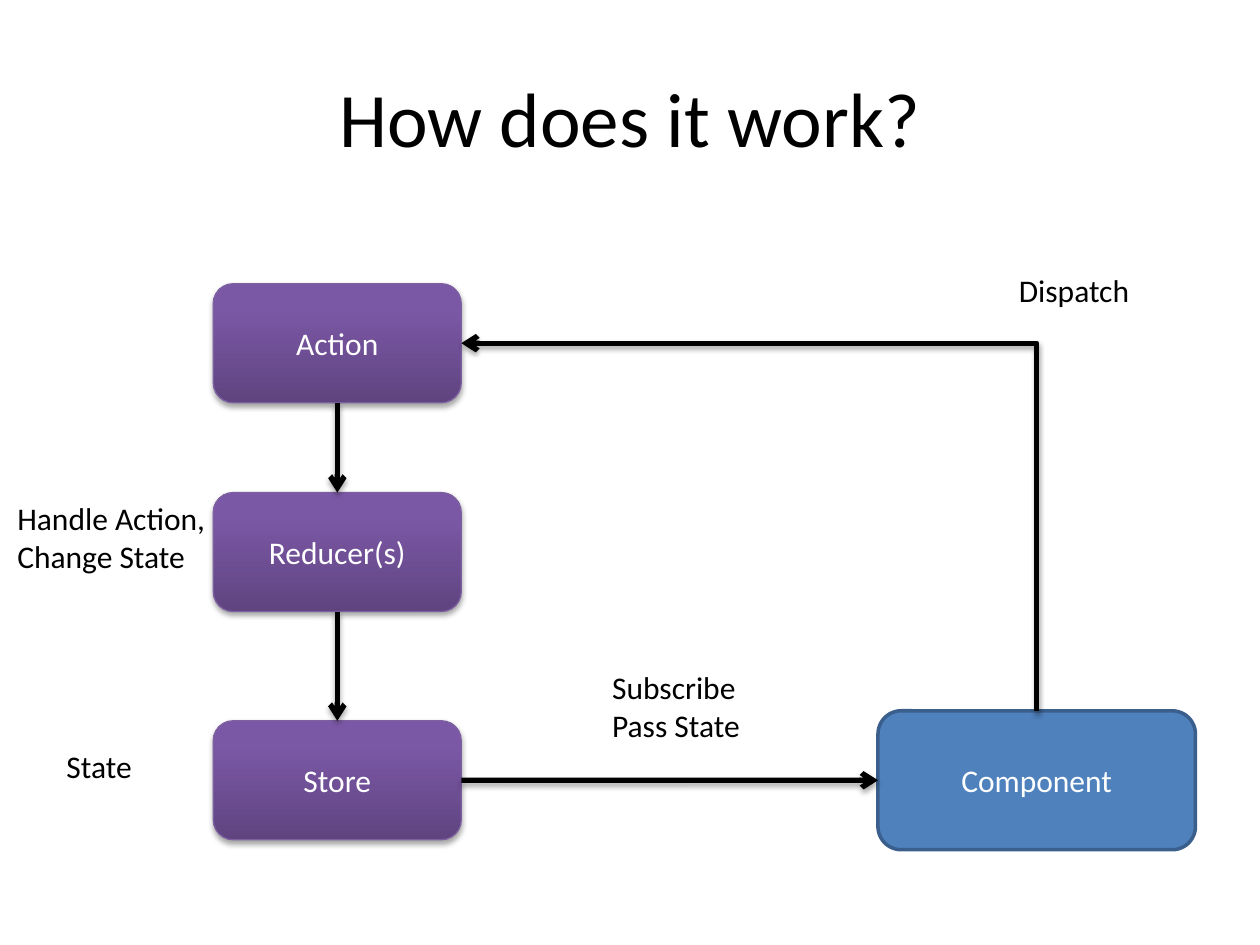
"""Build the slide that shows how actions, reducers, store and component work together."""
from dataclasses import dataclass

from lxml import etree
from pptx import Presentation
from pptx.dml.color import RGBColor
from pptx.enum.shapes import MSO_CONNECTOR, MSO_SHAPE
from pptx.enum.text import MSO_ANCHOR, MSO_AUTO_SIZE, PP_ALIGN
from pptx.oxml.ns import qn
from pptx.util import Cm, Pt

ROUNDED = MSO_SHAPE.ROUNDED_RECTANGLE
STRAIGHT, ELBOW = MSO_CONNECTOR.STRAIGHT, MSO_CONNECTOR.ELBOW
LEFT, CENTER = PP_ALIGN.LEFT, PP_ALIGN.CENTER
MIDDLE = MSO_ANCHOR.MIDDLE
GROW = MSO_AUTO_SIZE.SHAPE_TO_FIT_TEXT
TOP_SIDE, LEFT_SIDE, BOTTOM_SIDE, RIGHT_SIDE = range(4)

BLACK = RGBColor(0x00, 0x00, 0x00)
WHITE = RGBColor(0xFF, 0xFF, 0xFF)
BLUE = RGBColor(0x4F, 0x81, 0xBD)
DARK_BLUE = RGBColor(0x3A, 0x5F, 0x8C)
PURPLE_LINE = RGBColor(0x7D, 0x60, 0xA0)
PURPLE_STOPS = (
    (0, RGBColor(0x5F, 0x44, 0x80)),
    (80, RGBColor(0x7B, 0x58, 0xA6)),
    (100, RGBColor(0x7C, 0x57, 0xA8)),
)
FONT = "Calibri"


@dataclass(frozen=True)
class Area:
    left: float
    top: float
    width: float
    height: float

    def lengths(self) -> tuple:
        return Cm(self.left), Cm(self.top), Cm(self.width), Cm(self.height)


@dataclass(frozen=True)
class Label:
    text: str
    area: Area


STAGES = [
    Label("Action", Area(4.3, 5.72, 5, 2.4)),
    Label("Reducer(s)", Area(4.3, 9.93, 5, 2.4)),
    Label("Store", Area(4.3, 14.53, 5, 2.4)),
]
COMPONENT = Label("Component", Area(17.7, 14.33, 6.4, 2.8))
NOTES = [
    Label("State", Area(1.09, 14.94, 1.83, 1.02)),
    Label("Subscribe\nPass State", Area(12.09, 13.34, 3.1, 1.8)),
    Label("Dispatch", Area(20.29, 5.33, 2.77, 1.02)),
    Label("Handle Action,\nChange State", Area(0.1, 9.93, 4.34, 1.8)),
]


def write(frame, text: str, size: int, color: RGBColor, align, **frame_format) -> None:
    for name, value in frame_format.items():
        setattr(frame, name, value)
    frame.text = text
    for paragraph in frame.paragraphs:
        paragraph.alignment = align
        font_format = {"name": FONT, "size": Pt(size), "bold": False}
        for name, value in font_format.items():
            setattr(paragraph.font, name, value)
        paragraph.font.color.rgb = color


def cast_shadow(properties) -> None:
    effects = etree.SubElement(properties, qn("a:effectLst"))
    shadow = etree.SubElement(
        effects, qn("a:outerShdw"), blurRad="40000", dist="23000", dir="5400000", rotWithShape="0"
    )
    black = etree.SubElement(shadow, qn("a:srgbClr"), val=str(BLACK))
    etree.SubElement(black, qn("a:alpha"), val="35000")


def add_box(shapes, label: Label, line_color: RGBColor, line_width: float):
    box = shapes.add_shape(ROUNDED, *label.area.lengths())
    box.line.color.rgb = line_color
    box.line.width = Pt(line_width)
    write(box.text_frame, label.text, 18, WHITE, CENTER, vertical_anchor=MIDDLE, word_wrap=True)
    return box


def add_stage(shapes, label: Label):
    stage = add_box(shapes, label, PURPLE_LINE, 0.75)
    stage.fill.gradient()
    stage.fill.gradient_angle = 90
    properties = stage.element.spPr
    stops = properties.find(".//" + qn("a:gsLst"))
    for stop in list(stops):
        stops.remove(stop)
    for position, color in PURPLE_STOPS:
        stop = etree.SubElement(stops, qn("a:gs"), pos=str(position * 1000))
        etree.SubElement(stop, qn("a:srgbClr"), val=str(color))
    cast_shadow(properties)
    return stage


def add_arrow(shapes, kind, source, source_side: int, target, target_side: int):
    arrow = shapes.add_connector(kind, 0, 0, 0, 0)
    arrow.begin_connect(source, source_side)
    arrow.end_connect(target, target_side)
    arrow.line.color.rgb = BLACK
    arrow.line.width = Pt(3)
    etree.SubElement(arrow.line._get_or_add_ln(), qn("a:tailEnd"), type="arrow")
    cast_shadow(arrow._element.spPr)
    return arrow


def turn_single_corner(arrow) -> None:
    left, top, width, height = arrow.left, arrow.top, arrow.width, arrow.height
    turned = {
        "left": left + (width - height) // 2,
        "top": top + (height - width) // 2,
        "width": height,
        "height": width,
    }
    for name, value in turned.items():
        setattr(arrow, name, value)
    properties = arrow._element.spPr
    frame = properties.find(qn("a:xfrm"))
    for name, value in {"rot": "16200000", "flipH": "0", "flipV": "1"}.items():
        frame.set(name, value)
    properties.find(qn("a:prstGeom")).set("prst", "bentConnector2")


def add_note(shapes, label: Label) -> None:
    note = shapes.add_textbox(*label.area.lengths())
    write(note.text_frame, label.text, 18, BLACK, LEFT, word_wrap=False, auto_size=GROW)


def main() -> None:
    deck = Presentation()
    deck.slide_width, deck.slide_height = Cm(25.4), Cm(19.05)
    slide = deck.slides.add_slide(deck.slide_layouts[5])
    shapes = slide.shapes

    title = shapes.title
    title.left, title.top, title.width, title.height = Area(1.27, 0.76, 22.86, 3.18).lengths()
    write(title.text_frame, "How does it work?", 44, BLACK, CENTER, vertical_anchor=MIDDLE)

    component = add_box(shapes, COMPONENT, DARK_BLUE, 2)
    component.fill.solid()
    component.fill.fore_color.rgb = BLUE
    component.shadow.inherit = False
    action, reducers, store = [add_stage(shapes, label) for label in STAGES]

    dispatch = add_arrow(shapes, ELBOW, component, TOP_SIDE, action, RIGHT_SIDE)
    turn_single_corner(dispatch)
    for source, target in ((action, reducers), (reducers, store)):
        add_arrow(shapes, STRAIGHT, source, BOTTOM_SIDE, target, TOP_SIDE)
    add_arrow(shapes, STRAIGHT, store, RIGHT_SIDE, component, LEFT_SIDE)

    for label in NOTES:
        add_note(shapes, label)
    deck.save("out.pptx")


if __name__ == "__main__":
    main()
